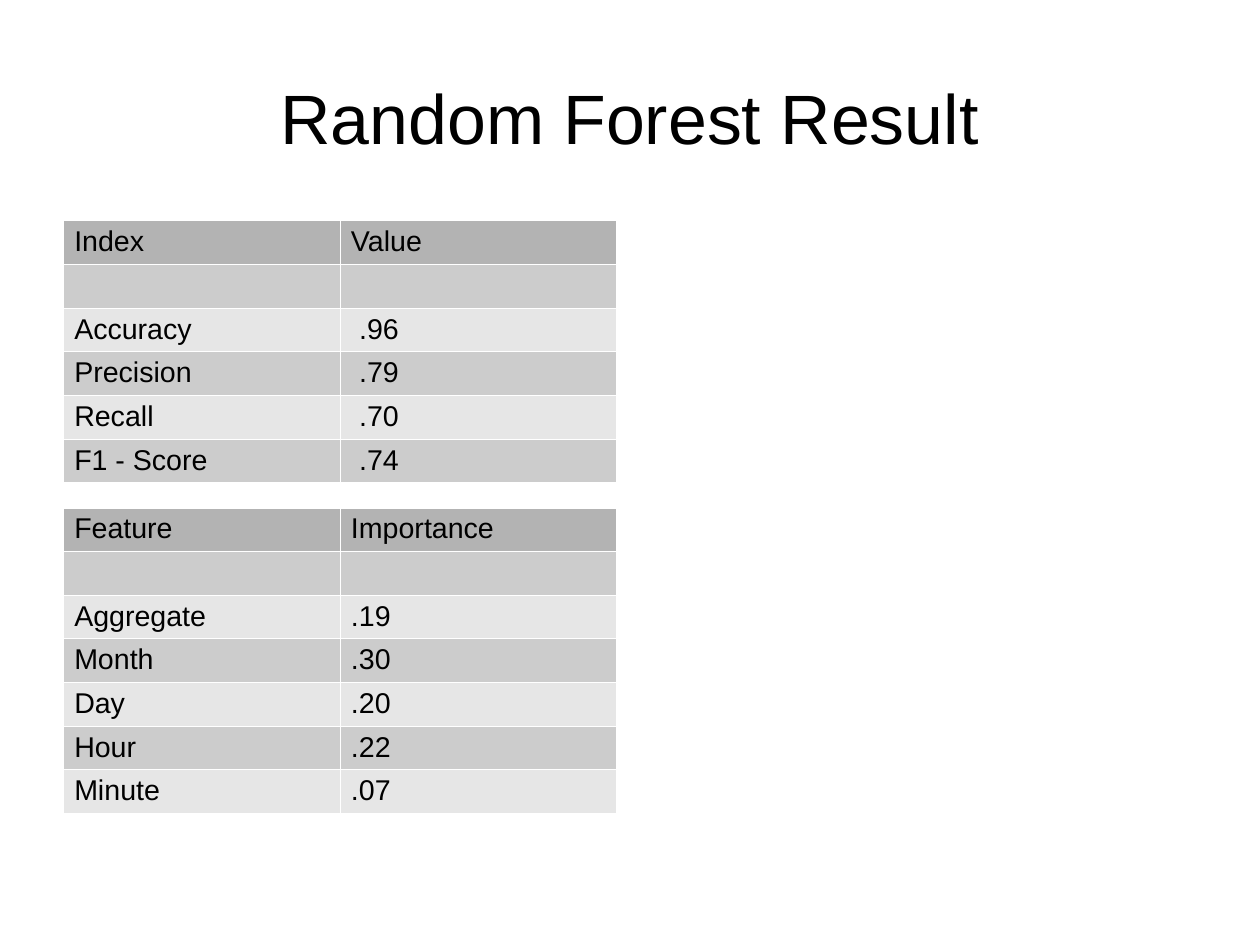
from lxml import etree
from pptx import Presentation
from pptx import util as u
from pptx.dml import color
from pptx.enum import text
from pptx.oxml import ns

TITLE = "Random Forest Result"
SCORES = [
    ("Index", "Value"),
    ("", ""),
    ("Accuracy", ".96"),
    ("Precision", ".79"),
    ("Recall", ".70"),
    ("F1 - Score", ".74"),
]
FEATURES = [
    ("Feature", "Importance"),
    ("", ""),
    ("Aggregate", ".19"),
    ("Month", ".30"),
    ("Day", ".20"),
    ("Hour", ".22"),
    ("Minute", ".07"),
]
SCORE_INDENT = 0.18
TABLES = [(4.9, SCORES, SCORE_INDENT), (11.28, FEATURES, 0)]

FONT = "Arial"
INK, BORDER = "000000", "FFFFFF"
HEADER, BANDS = "B3B3B3", ("E6E6E6", "CCCCCC")
LEFT, COLUMN_WIDTH, ROW_HEIGHT = 1.4, 6.15, 0.97
SIDE_MARGIN, TOP_MARGIN = 0.25, 0.12
BORDER_WIDTH = u.Pt(0.06)


def rgb(value):
    return color.RGBColor.from_string(value)


def set_font(para, size):
    para.font.name = FONT
    para.font.size = u.Pt(size)
    para.font.color.rgb = rgb(INK)


def set_borders(cell):
    properties = cell._tc.get_or_add_tcPr()
    for side in ("a:lnL", "a:lnR", "a:lnT", "a:lnB"):
        line = etree.SubElement(properties, ns.qn(side), w=str(BORDER_WIDTH))
        fill = etree.SubElement(line, ns.qn("a:solidFill"))
        etree.SubElement(fill, ns.qn("a:srgbClr"), val=BORDER)


def add_title(page):
    box = page.shapes.add_textbox(u.Cm(LEFT), u.Cm(0.84), u.Cm(25.2), u.Cm(3.5))
    frame = box.text_frame
    frame.word_wrap = True
    frame.vertical_anchor = text.MSO_ANCHOR.MIDDLE
    frame.margin_left = frame.margin_right = 0
    frame.margin_top = frame.margin_bottom = 0
    para = frame.paragraphs[0]
    para.text = TITLE
    para.alignment = text.PP_ALIGN.CENTER
    set_font(para, 44)


def add_result_table(page, top, rows, value_indent):
    columns = len(rows[0])
    table = page.shapes.add_table(
        len(rows), columns, u.Cm(LEFT), u.Cm(top),
        u.Cm(COLUMN_WIDTH * columns), u.Cm(ROW_HEIGHT * len(rows))).table
    table.first_row = table.horz_banding = False
    for column in table.columns:
        column.width = u.Cm(COLUMN_WIDTH)
    for i, values in enumerate(rows):
        table.rows[i].height = u.Cm(ROW_HEIGHT)
        for j, value in enumerate(values):
            cell = table.cell(i, j)
            indent = value_indent if i and j else 0
            cell.margin_left = u.Cm(SIDE_MARGIN + indent)
            cell.margin_right = u.Cm(SIDE_MARGIN)
            cell.margin_top = cell.margin_bottom = u.Cm(TOP_MARGIN)
            set_borders(cell)
            cell.fill.solid()
            cell.fill.fore_color.rgb = rgb(BANDS[i % 2] if i else HEADER)
            para = cell.text_frame.paragraphs[0]
            if value:
                para.text = value
            set_font(para, 18)


def main():
    deck = Presentation()
    deck.slide_width, deck.slide_height = u.Cm(28), u.Cm(21)
    page = deck.slides.add_slide(deck.slide_layouts[6])
    for top, rows, value_indent in TABLES:
        add_result_table(page, top, rows, value_indent)
    add_title(page)
    deck.save("out.pptx")


if __name__ == "__main__":
    main()
